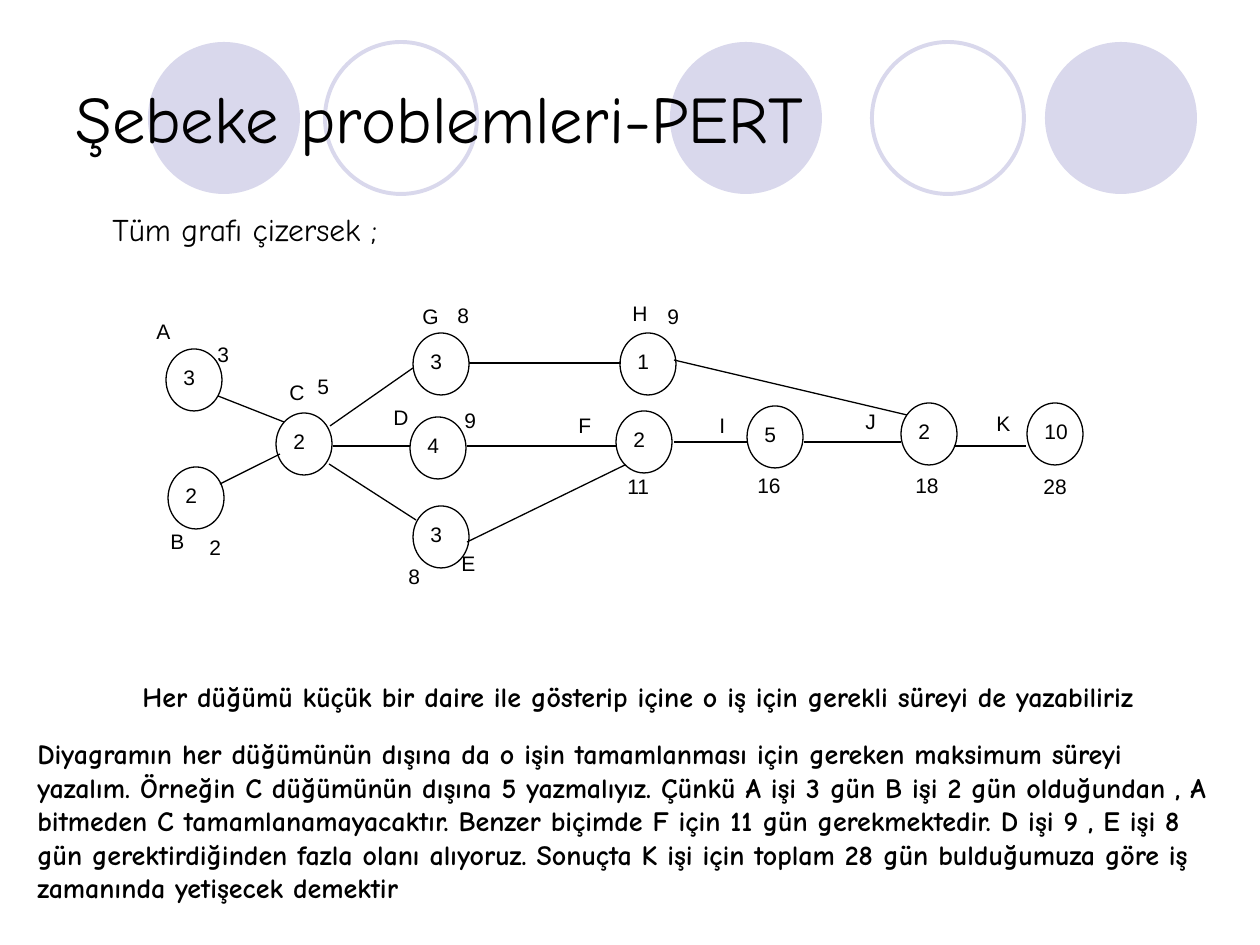
from pptx import Presentation
from pptx.dml.color import RGBColor
from pptx.enum.shapes import MSO_CONNECTOR as Connector, MSO_SHAPE as Shape
from pptx.enum.text import MSO_ANCHOR as Anchor
from pptx.oxml.ns import qn
from pptx.util import Emu, Pt
from lxml.etree import SubElement

PX_PER_INCH = 126
BLACK, WHITE, LILAC = "000000", "FFFFFF", "D9D8EC"
HAND, PLAIN = "Comic Neue", "Arial"

# left edge, filled
BANNER_TOP, BANNER_SIZE = 42, 152
BANNER = [(670, True), (1045, True), (148, True), (872, False), (325, False)]

# text, box (left, top, width, height), size, bold, wrap
TEXTS = [
    ("Şebeke problemleri-PERT", (63, 38, 1134, 158), 38, False, True),
    ("Tüm grafı çizersek ;", (100, 204, 291, 50), 18, False, False),
    ("Her düğümü küçük bir daire ile gösterip içine o iş için gerekli süreyi de "
     "yazabiliriz", (130, 673, 1029, 47), 16, True, False),
    ("Diyagramın her düğümünün dışına da o işin tamamlanması için gereken "
     "maksimum süreyi yazalım. Örneğin C düğümünün dışına 5 yazmalıyız. Çünkü A "
     "işi 3 gün B işi 2 gün olduğundan , A bitmeden C tamamlanamayacaktır. Benzer "
     "biçimde F için 11 gün gerekmektedir. D işi 9 , E işi 8 gün gerektirdiğinden "
     "fazla olanı alıyoruz. Sonuçta K işi için toplam 28 gün bulduğumuza göre iş "
     "zamanında yetişecek demektir", (25, 730, 1195, 181), 16, True, True),
]

# name, duration, circle corner, name corner, finish day, finish corner
JOBS = [
    ("A", "3", (166, 349), (144, 312), "3", (205, 335)),
    ("C", "2", (276, 413), (277, 373), "5", (305, 367)),
    ("B", "2", (168, 467), (158, 522), "2", (197, 528)),
    ("G", "3", (413, 333), (410, 297), "8", (445, 296)),
    ("D", "4", (410, 417), (381, 398), "9", (452, 401)),
    ("E", "3", (413, 506), (449, 544), "8", (396, 557)),
    ("H", "1", (620, 333), (620, 294), "9", (655, 297)),
    ("F", "2", (616, 411), (566, 406), "11", (615, 467)),
    ("I", "5", (747, 406), (707, 406), "16", (745, 466)),
    ("J", "2", (901, 403), (853, 402), "18", (903, 466)),
    ("K", "10", (1027, 403), (984, 404), "28", (1031, 467)),
]
CIRCLE = (56, 62)
DURATION_SHIFT, DURATION_BOX = (5, 9), (73, 48)
LABEL_BOX, FINISH_BOX = (58, 54), (64, 54)

LINKS = [
    (218, 396, 284, 422),   # A-C
    (220, 484, 280, 454),   # B-C
    (330, 426, 413, 368),   # C-G
    (333, 446, 410, 446),   # C-D
    (329, 464, 416, 520),   # C-E
    (469, 363, 621, 363),   # G-H
    (467, 446, 617, 446),   # D-F
    (674, 442, 747, 442),   # F-I
    (804, 442, 901, 442),   # I-J
    (954, 446, 1026, 446),  # J-K
    (674, 360, 907, 415),   # H-J
    (467, 542, 625, 465),   # E-F
]


def emu(*lengths):
    return [Emu(round(px * 914400 / PX_PER_INCH)) for px in lengths]


def color(value):
    return RGBColor.from_string(value)


def add_circle(slide, box, fill=None, line=None, width=0.75):
    circle = slide.shapes.add_shape(Shape.OVAL, *emu(*box))
    circle.shadow.inherit = False
    if fill:
        circle.fill.solid()
        circle.fill.fore_color.rgb = color(fill)
    else:
        circle.fill.background()
    if line:
        circle.line.color.rgb = color(line)
        circle.line.width = Pt(width)
    else:
        circle.line.fill.background()


def add_text(slide, text, box, size=12, font=PLAIN, bold=False, wrap=True,
             anchor=Anchor.TOP):
    frame = slide.shapes.add_textbox(*emu(*box)).text_frame
    frame.word_wrap = wrap
    frame.vertical_anchor = anchor
    para = frame.paragraphs[0]
    para.text = text
    para.font.name = font
    para.font.size = Pt(size)
    para.font.bold = bold
    para.font.color.rgb = color(BLACK)


def add_link(slide, ends):
    link = slide.shapes.add_connector(Connector.STRAIGHT, *emu(*ends))
    link.line.color.rgb = color(BLACK)
    link.line.width = Pt(0.75)
    SubElement(link._element.spPr, qn("a:effectLst"))


def main():
    deck = Presentation()
    deck.slide_width, deck.slide_height = emu(1260, 945)
    slide = deck.slides.add_slide(deck.slide_layouts[6])

    for left, filled in BANNER:
        box = (left, BANNER_TOP, BANNER_SIZE, BANNER_SIZE)
        if filled:
            add_circle(slide, box, fill=LILAC)
        else:
            add_circle(slide, box, line=LILAC, width=2.25)

    for text, box, size, bold, wrap in TEXTS:
        add_text(slide, text, box, size, HAND, bold, wrap, Anchor.MIDDLE)

    for _, duration, (left, top), *_ in JOBS:
        add_circle(slide, (left, top, *CIRCLE), WHITE, BLACK)
        across, down = DURATION_SHIFT
        add_text(slide, duration, (left + across, top + down, *DURATION_BOX))

    for ends in LINKS:
        add_link(slide, ends)

    for name, _, _, name_corner, finish, finish_corner in JOBS:
        add_text(slide, name, (*name_corner, *LABEL_BOX))
        add_text(slide, finish, (*finish_corner, *FINISH_BOX))

    deck.save("out.pptx")


if __name__ == "__main__":
    main()
